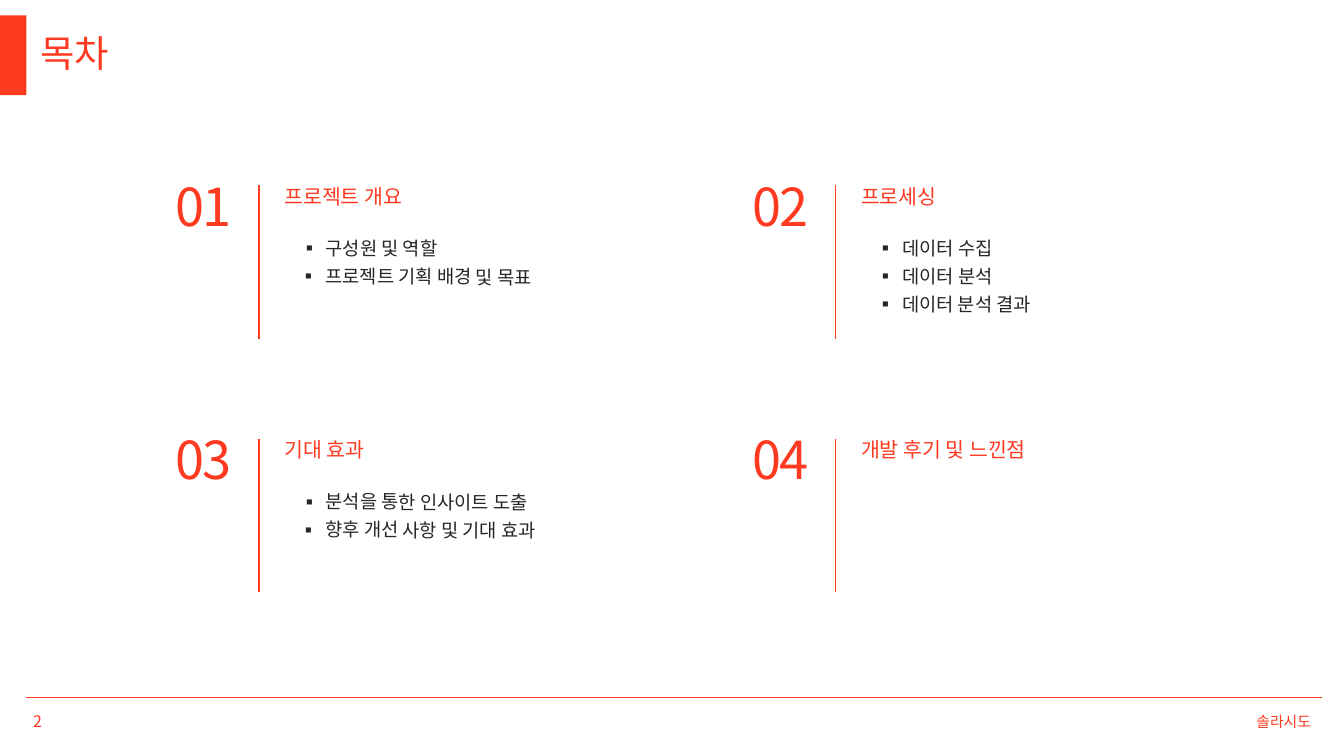
from lxml.etree import SubElement as Sub
from pptx import Presentation
from pptx.dml.color import RGBColor as RGB
from pptx.enum.shapes import MSO_CONNECTOR as Link, MSO_SHAPE as Shape
from pptx.enum.text import MSO_ANCHOR as Anchor, MSO_AUTO_SIZE as Auto, PP_ALIGN as Align
from pptx.oxml.ns import qn
from pptx.util import Cm, Pt

FONT = "Noto Sans CJK KR"
COLORS = {"red": "FF3A21", "foot": "FF3921", "dark": "262626"}
LEFT, TOP, COL, ROW = 6.35, 6.82, 21.8, 9.58
# heading, list width, list items
PARTS = [
    ("프로젝트 개요", 9.5, ["구성원 및 역할", "프로젝트 기획 배경 및 목표"]),
    ("프로세싱", 9.07, ["데이터 수집", "데이터 분석", "데이터 분석 결과"]),
    ("기대 효과", 9.78, ["분석을 통한 인사이트 도출", "향후 개선 사항 및 기대 효과"]),
    ("개발 후기 및 느낀점", 0, []),
]


def color(name):
    return RGB.from_string(COLORS[name])


def add_bullet(para):
    para.level = 1
    props = para._p.get_or_add_pPr()
    props.set("marL", str(Cm(1.55)))
    props.set("indent", str(Cm(-0.97)))
    Sub(props, qn("a:buFont"), typeface=FONT)
    Sub(props, qn("a:buChar"), char="▪")


def set_font(para, size, tone, track=None):
    """Style a paragraph, Korean glyphs included; track is in points."""
    font = para.font
    font.size = Pt(size)
    font.color.rgb = color(tone)
    font.name = FONT
    props = para._p.pPr.find(qn("a:defRPr"))
    Sub(props, qn("a:ea"), typeface=FONT)
    if track:
        props.set("spc", str(round(track * 100)))


def add_text(slide, box, lines, size, tone="red", lead=None, align=Align.LEFT,
             track=None, bullet=False):
    """Add a tight text box that grows with its lines."""
    shape = slide.shapes.add_textbox(*map(Cm, box))
    frame = shape.text_frame
    frame.word_wrap = True
    frame.auto_size = Auto.SHAPE_TO_FIT_TEXT
    frame.margin_left = frame.margin_right = 0
    frame.margin_top = frame.margin_bottom = 0
    frame.text = "\n".join(lines)
    for para in frame.paragraphs:
        para.alignment = align
        if lead:
            para.line_spacing = Pt(lead)
        if bullet:
            add_bullet(para)
        set_font(para, size, tone, track)
    return shape


def add_foot(slide, box, text, size, align):
    shape = add_text(slide, box, [text], size, "foot", align=align)
    frame = shape.text_frame
    frame.auto_size = Auto.NONE
    frame.vertical_anchor = Anchor.MIDDLE
    frame.margin_left = frame.margin_right = Cm(0.25)
    frame.margin_top = frame.margin_bottom = Cm(0.13)


def add_line(slide, ends, width):
    line = slide.shapes.add_connector(Link.STRAIGHT, *map(Cm, ends))
    line.line.color.rgb = color("red")
    line.line.width = Pt(width)
    Sub(line._element.spPr, qn("a:effectLst"))


def add_tab(slide, box):
    tab = slide.shapes.add_shape(Shape.RECTANGLE, *map(Cm, box))
    tab.shadow.inherit = False
    tab.fill.solid()
    tab.fill.fore_color.rgb = color("red")
    tab.line.fill.background()


def add_part(slide, index, head, width, items):
    """Add one numbered block of the two-column grid."""
    row, col = divmod(index, 2)
    x, y = LEFT + col * COL, TOP + row * ROW
    add_line(slide, (x + 3.43, y + 5.99, x + 3.43, y + 0.19), 2)
    add_text(slide, (x, y, 2.69, 2.13), [f"{index + 1:02}"], 56,
             lead=60.5, align=Align.CENTER, track=-2.6)
    add_text(slide, (x + 4.4, y + 0.21, 9.09, 0.86), [head], 22, lead=24.2)
    if items:
        box = x + 4.41, y + 1.93, width, 1.04 * len(items)
        body = add_text(slide, box, items, 20, "dark", lead=30, bullet=True)
        body.rotation = 0.3


def main():
    deck = Presentation()
    deck.slide_width, deck.slide_height = Cm(50.8), Cm(28.58)
    slide = deck.slides.add_slide(deck.slide_layouts[6])
    add_tab(slide, (0, 0.58, 1, 3.02))
    add_text(slide, (1.52, 1.47, 45.09, 1.42), ["목차"], 40, lead=38.4)
    for index, part in enumerate(PARTS):
        add_part(slide, index, *part)
    add_foot(slide, (41.76, 26.77, 8.05, 1.02), "솔라시도", 16, Align.RIGHT)
    add_foot(slide, (1, 26.77, 5.92, 1.02), "2", 17, Align.LEFT)
    add_line(slide, (1, 26.37, 49.96, 26.37), 1.5)
    deck.save("out.pptx")


if __name__ == "__main__":
    main()
